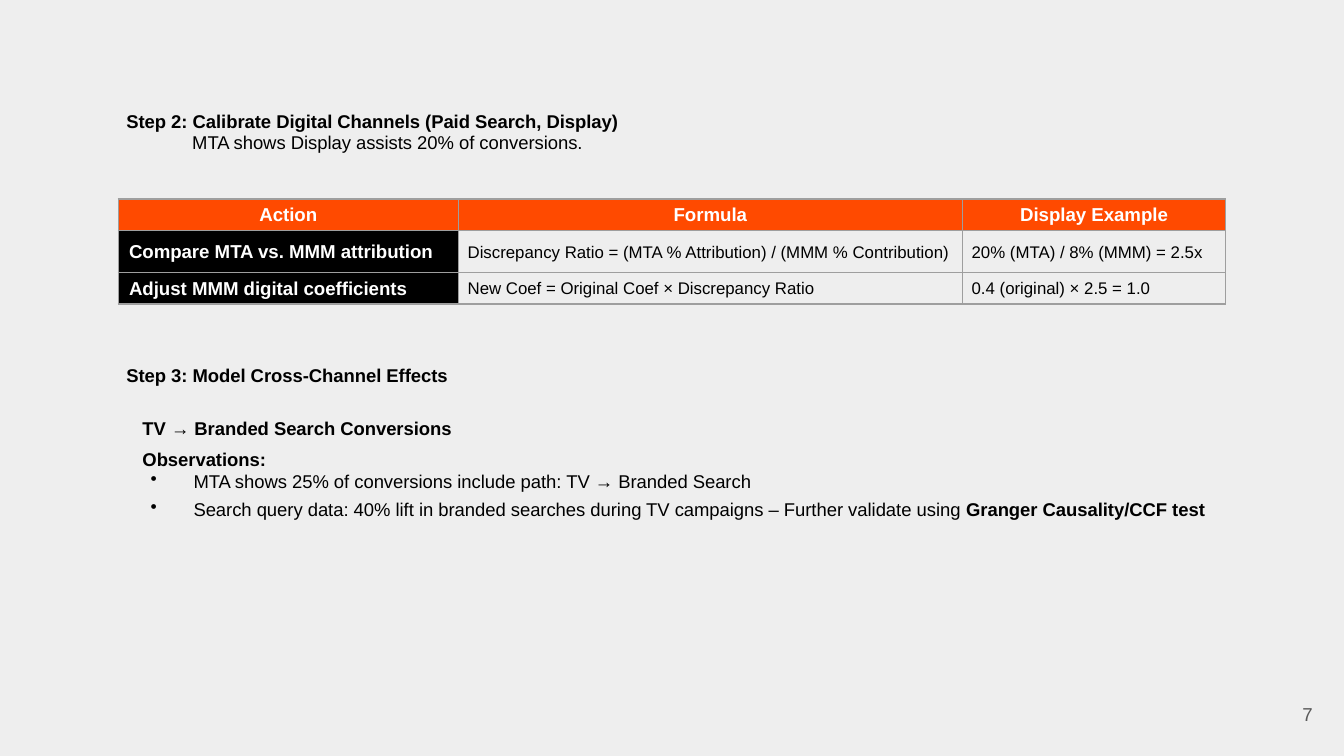
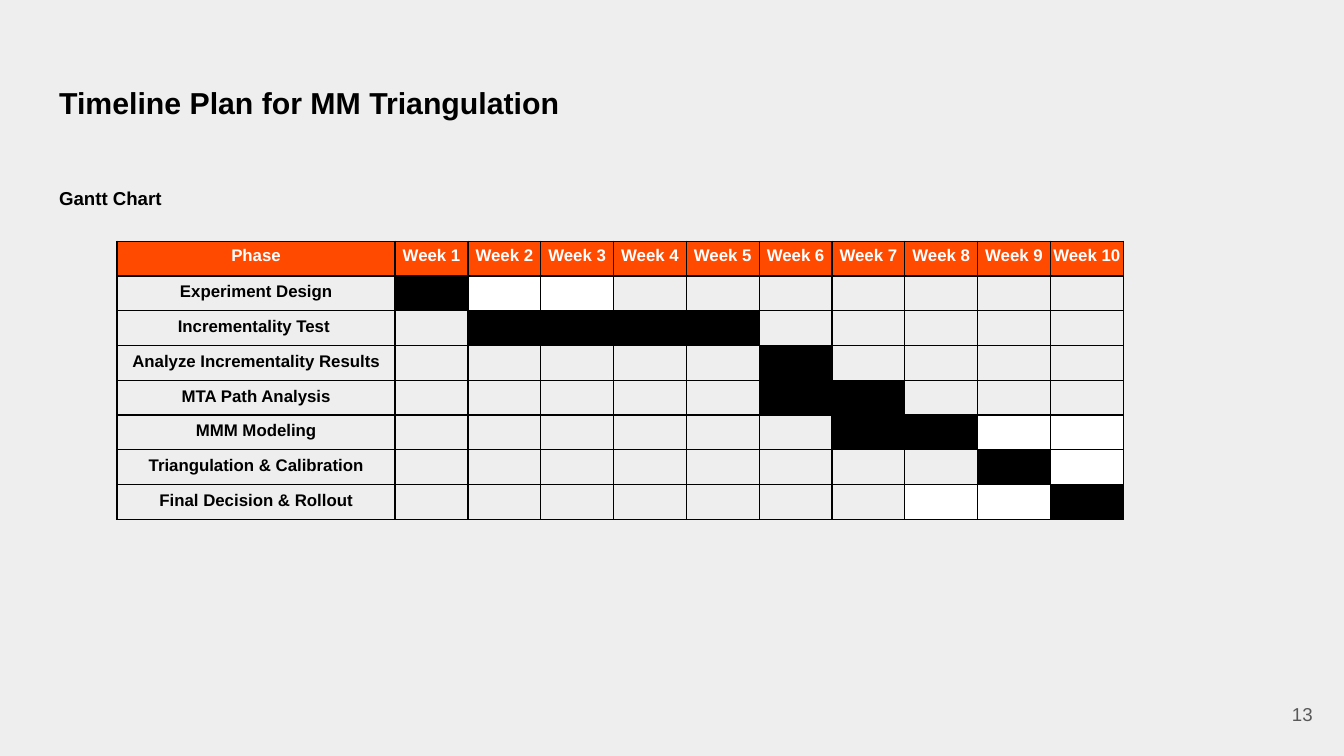
"""Build two slides: channel calibration steps and the triangulation timeline."""
import pptx
import pptx.dml.color
import pptx.enum.text
import pptx.oxml.ns
import pptx.util
from lxml import etree

COLORS = {
    "background": "EEEEEE",
    "accent": "FF4A00",
    "black": "000000",
    "white": "FFFFFF",
    "grey_line": "9E9E9E",
    "page_number": "595959",
}
FONT = "Arial"
WIDTH = pptx.util.Inches(10)
HEIGHT = pptx.util.Emu(WIDTH * 9 // 16)
TEXT_LEFT, TEXT_WIDTH = 4.4, 91.2
STEP_SIZE = 9.9
ALIGN = pptx.enum.text.PP_ALIGN
ANCHOR = pptx.enum.text.MSO_ANCHOR

CALIBRATION = [
    ("Action", "Formula", "Display Example"),
    ("Compare MTA vs. MMM attribution",
     "Discrepancy Ratio = (MTA % Attribution) / (MMM % Contribution)",
     "20% (MTA) / 8% (MMM) = 2.5x"),
    ("Adjust MMM digital coefficients",
     "New Coef = Original Coef × Discrepancy Ratio",
     "0.4 (original) × 2.5 = 1.0"),
]
WEEKS = 10
PHASES = [
    ("Experiment Design", {1}, {2, 3}),
    ("Incrementality Test ", {2, 3, 4, 5}, set()),
    ("Analyze Incrementality Results", {6}, set()),
    ("MTA Path Analysis", {6, 7}, set()),
    ("MMM Modeling", {7, 8}, {9, 10}),
    ("Triangulation & Calibration", {9}, {10}),
    ("Final Decision & Rollout", {10}, {8, 9}),
]


def across(percent):
    """Return a share of the slide width."""
    return round(WIDTH * percent / 100)


def down(percent):
    """Return a share of the slide height."""
    return round(HEIGHT * percent / 100)


def rgb(name):
    """Return the palette colour with this name."""
    return pptx.dml.color.RGBColor.from_string(COLORS[name])


def add_run(paragraph, text, size, bold=False, color="black"):
    """Append one styled run to a paragraph."""
    run = paragraph.add_run()
    run.text = text
    run.font.name = FONT
    run.font.size = pptx.util.Pt(size)
    run.font.bold = bold
    run.font.color.rgb = rgb(color)


def set_indent(paragraph, left, hanging=0, bullet=False):
    """Set the left and hanging indents in inches, with an optional bullet."""
    properties = paragraph._p.get_or_add_pPr()
    properties.set("marL", str(pptx.util.Inches(left)))
    properties.set("indent", str(-pptx.util.Inches(hanging)))
    if bullet:
        mark = etree.SubElement(properties, pptx.oxml.ns.qn("a:buChar"))
        mark.set("char", "•")


def add_text_frame(slide, left, top, width, height, inset=0):
    """Add a wrapping text box and return its text frame."""
    frame = slide.shapes.add_textbox(
        across(left), down(top), across(width), down(height)).text_frame
    frame.word_wrap = True
    frame.margin_left = frame.margin_right = pptx.util.Inches(inset)
    frame.margin_top = frame.margin_bottom = pptx.util.Inches(inset)
    return frame


def add_heading(slide, top, text, size):
    """Add a bold heading at the text margin and return its frame."""
    frame = add_text_frame(slide, TEXT_LEFT, top, TEXT_WIDTH, 6)
    add_run(frame.paragraphs[0], text, size, bold=True)
    return frame


def add_step(slide, top, text, finding=None):
    """Add an indented step heading with an optional finding below it."""
    frame = add_heading(slide, top, text, STEP_SIZE)
    set_indent(frame.paragraphs[0], 0.5)
    if finding:
        detail = frame.add_paragraph()
        add_run(detail, finding, STEP_SIZE)
        set_indent(detail, 0.99)
    for paragraph in frame.paragraphs:
        paragraph.line_spacing = 0.95


def add_slide(deck, number):
    """Add a blank slide with the shared background and page number."""
    slide = deck.slides.add_slide(deck.slide_layouts[6])
    slide.background.fill.solid()
    slide.background.fill.fore_color.rgb = rgb("background")
    footer = add_text_frame(slide, 92.65, 90.68, 6, 7.65, inset=0.1)
    footer.vertical_anchor = ANCHOR.MIDDLE
    footer.paragraphs[0].alignment = ALIGN.RIGHT
    add_run(footer.paragraphs[0], str(number), 10, color="page_number")
    return slide


def add_grid(slide, left, top, columns, rows, line):
    """Add an unstyled table whose cells all have thin borders."""
    table = slide.shapes.add_table(
        len(rows), len(columns), across(left), down(top),
        across(sum(columns)), down(sum(rows))).table
    table.first_row = table.horz_banding = False
    for column, width in zip(table.columns, columns):
        column.width = across(width)
    for row, height in zip(table.rows, rows):
        row.height = down(height)
    for cell in table.iter_cells():
        add_borders(cell, line)
        cell.fill.background()
    return table


def add_borders(cell, line):
    """Draw the four borders of a cell."""
    qn = pptx.oxml.ns.qn
    properties = cell._tc.get_or_add_tcPr()
    for side in ("lnL", "lnR", "lnT", "lnB"):
        border = etree.SubElement(properties, qn(f"a:{side}"))
        border.set("w", str(pptx.util.Pt(0.75)))
        fill = etree.SubElement(border, qn("a:solidFill"))
        etree.SubElement(fill, qn("a:srgbClr")).set("val", COLORS[line])


def fill_cell(cell, color):
    """Fill a cell with a palette colour."""
    cell.fill.solid()
    cell.fill.fore_color.rgb = rgb(color)


def write_cell(cell, text, size, bold, color, align=ALIGN.CENTER,
               left=0.01, bottom=0, anchor=ANCHOR.MIDDLE, spacing=1.0):
    """Write one styled line into a cell with narrow margins."""
    cell.margin_left = pptx.util.Inches(left)
    cell.margin_top = cell.margin_right = pptx.util.Inches(0.01)
    cell.margin_bottom = pptx.util.Inches(bottom)
    cell.vertical_anchor = anchor
    line = cell.text_frame.paragraphs[0]
    line.alignment = align
    line.line_spacing = spacing
    add_run(line, text, size, bold, color)


def shrink_empty_cell(cell):
    """Keep an empty cell from stretching its row."""
    end = etree.SubElement(cell.text_frame.paragraphs[0]._p,
                           pptx.oxml.ns.qn("a:endParaRPr"))
    end.set("sz", "900")


def add_calibration_table(slide):
    """Add the table of calibration actions, formulas and examples."""
    table = add_grid(slide, 8.8, 26.33, [25.3, 37.5, 19.6],
                     [4.15, 5.6, 4.15], "grey_line")
    for r, texts in enumerate(CALIBRATION):
        for c, text in enumerate(texts):
            cell = table.cell(r, c)
            if r == 0:
                fill_cell(cell, "accent")
                write_cell(cell, text, 10, True, "white")
            elif c == 0:
                fill_cell(cell, "black")
                write_cell(cell, text, 10, True, "white", ALIGN.LEFT, 0.08)
            else:
                write_cell(cell, text, 9, False, "black", ALIGN.LEFT, 0.07)


def add_observations(slide):
    """Add the cross-channel effect with its bulleted observations."""
    frame = add_text_frame(slide, TEXT_LEFT, 54, TEXT_WIDTH, 16)
    effect = frame.paragraphs[0]
    add_run(effect, "TV → Branded Search Conversions", STEP_SIZE, bold=True)
    label = frame.add_paragraph()
    add_run(label, "Observations:", STEP_SIZE, bold=True)
    for paragraph in (effect, label):
        paragraph.line_spacing = 1.4
        set_indent(paragraph, 0.62)
    paths = frame.add_paragraph()
    add_run(paths, "MTA shows 25% of conversions include path: "
                   "TV → Branded Search", STEP_SIZE)
    lift = frame.add_paragraph()
    lift.space_before = pptx.util.Pt(3)
    add_run(lift, "Search query data: 40% lift in branded searches during "
                  "TV campaigns – Further validate using ", STEP_SIZE)
    add_run(lift, "Granger Causality/CCF test", STEP_SIZE, bold=True)
    for paragraph in (paths, lift):
        set_indent(paragraph, 1, 0.32, bullet=True)


def add_gantt(slide):
    """Add the weekly plan, shading the active weeks of each phase."""
    table = add_grid(slide, 8.7, 31.9, [20.7] + [5.42] * WEEKS,
                     [4.6] * (len(PHASES) + 1), "black")
    headers = ["Phase"] + [f"Week {week}" for week in range(1, WEEKS + 1)]
    for c, header in enumerate(headers):
        fill_cell(table.cell(0, c), "accent")
        write_cell(table.cell(0, c), header, 9, True, "white",
                   bottom=0.07, spacing=1.15)
    for r, (phase, active, cleared) in enumerate(PHASES, 1):
        write_cell(table.cell(r, 0), phase, 9, True, "black",
                   bottom=0.07, anchor=ANCHOR.BOTTOM, spacing=1.15)
        for week in range(1, WEEKS + 1):
            cell = table.cell(r, week)
            shrink_empty_cell(cell)
            if week in active:
                fill_cell(cell, "black")
            elif week in cleared:
                fill_cell(cell, "white")


def build_calibration_slide(deck):
    """Build the slide with calibration steps 2 and 3."""
    slide = add_slide(deck, 7)
    add_step(slide, 14.75,
             "Step 2: Calibrate Digital Channels (Paid Search, Display)",
             "MTA shows Display assists 20% of conversions.")
    add_calibration_table(slide)
    add_step(slide, 48.35, "Step 3: Model Cross-Channel Effects")
    add_observations(slide)


def build_timeline_slide(deck):
    """Build the slide with the timeline plan."""
    slide = add_slide(deck, 13)
    add_heading(slide, 11.15, "Timeline Plan for MM Triangulation", 16.2)
    add_heading(slide, 24.75, "Gantt Chart", 10)
    add_gantt(slide)


def main():
    """Create the deck and save it."""
    deck = pptx.Presentation()
    deck.slide_width, deck.slide_height = WIDTH, HEIGHT
    build_calibration_slide(deck)
    build_timeline_slide(deck)
    deck.save("out.pptx")


if __name__ == "__main__":
    main()
